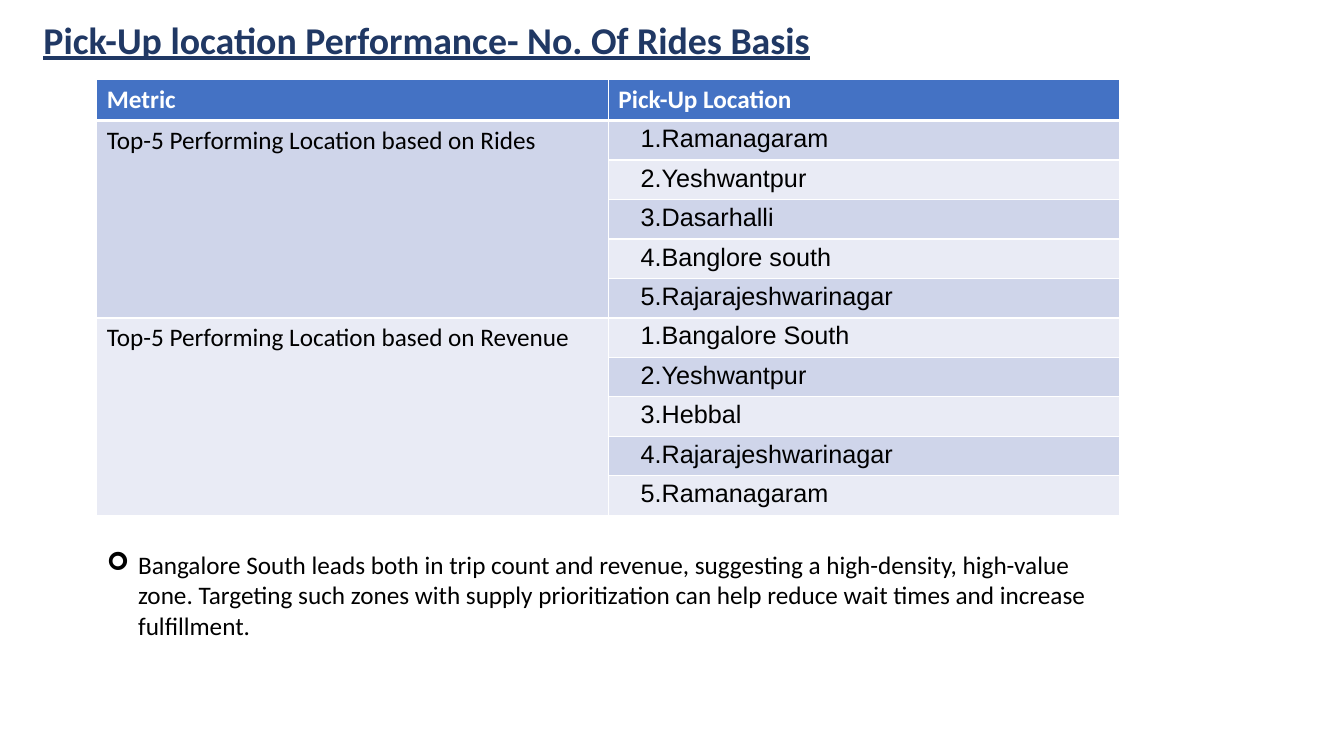
from dataclasses import dataclass

from lxml import etree
from pptx import Presentation
from pptx.dml.color import RGBColor
from pptx.enum.text import MSO_ANCHOR, MSO_AUTO_SIZE, PP_ALIGN
from pptx.oxml.ns import qn
from pptx.util import Inches, Pt

TOP, MIDDLE = MSO_ANCHOR.TOP, MSO_ANCHOR.MIDDLE
LEFT, JUSTIFY = PP_ALIGN.LEFT, PP_ALIGN.JUSTIFY
FIXED = MSO_AUTO_SIZE.NONE

GROUPS = {
    "Top-5 Performing Location based on Rides": [
        "Ramanagaram", "Yeshwantpur", "Dasarhalli", "Banglore south",
        "Rajarajeshwarinagar"],
    "Top-5 Performing Location based on Revenue": [
        "Bangalore South", "Yeshwantpur", "Hebbal", "Rajarajeshwarinagar",
        "Ramanagaram"],
}
INSIGHT = ("Bangalore South leads both in trip count and revenue, suggesting "
           "a high-density, high-value zone. Targeting such zones with supply "
           "prioritization can help reduce wait times and increase fulfillment.")


@dataclass
class Theme:
    navy: str = "203864"
    head: str = "4472C4"
    bands: tuple = ("E9EBF5", "CFD5EA")
    white: str = "FFFFFF"
    black: str = "000000"
    font: str = "Calibri"
    list_font: str = "Arial"
    title: int = 27
    text: int = 18


def apply(target, values):
    for name, value in values.items():
        setattr(target, name, value)


def indent(para, left, first):
    props = para._p.get_or_add_pPr()
    props.set("marL", str(Inches(left)))
    props.set("indent", str(Inches(first)))
    return props


class Deck:
    def __init__(self, theme):
        self.theme = theme
        self.prs = Presentation()
        apply(self.prs, {"slide_width": Inches(13.33),
                         "slide_height": Inches(7.5)})
        self.slide = self.prs.slides.add_slide(self.prs.slide_layouts[1])

    def box(self, x, y, w, h):
        """Turn percentages of the slide into lengths."""
        wide, high = self.prs.slide_width, self.prs.slide_height
        sizes = (x * wide, y * high, w * wide, h * high)
        return [round(size / 100) for size in sizes]

    def place(self, shape, area, anchor):
        apply(shape, dict(zip(("left", "top", "width", "height"),
                              self.box(*area))))
        apply(shape.text_frame, {"auto_size": FIXED, "word_wrap": True,
                                 "vertical_anchor": anchor})
        return shape.text_frame

    def label(self, frame, text, color, font=None, size=None, bold=False,
              line=False, **layout):
        para = frame.paragraphs[0]
        apply(para, {"alignment": LEFT, "space_before": Pt(0), **layout})
        run = para.add_run()
        run.text = text
        apply(run.font, {"name": font or self.theme.font, "bold": bold,
                         "size": Pt(size or self.theme.text),
                         "underline": line})
        run.font.color.rgb = RGBColor.from_string(color)
        return para

    def title(self, text, area):
        frame = self.place(self.slide.shapes.title, area, MIDDLE)
        self.label(frame, text, self.theme.navy, size=self.theme.title,
                   bold=True, line=True, line_spacing=0.9)

    def bullet(self, text, area):
        frame = self.place(self.slide.placeholders[1], area, TOP)
        para = self.label(frame, text, self.theme.black)
        props = indent(para, 0.31, -0.31)
        etree.SubElement(props, qn("a:buFont"), typeface="Wingdings")
        etree.SubElement(props, qn("a:buChar"), char="➢")

    def paint(self, cell, color, base=1):
        """Draw the cell's white borders, then its fill."""
        props = cell._tc.get_or_add_tcPr()
        for side, width in (("L", 1), ("R", 1), ("T", 1), ("B", base)):
            edge = etree.SubElement(props, qn("a:ln" + side), w=str(Pt(width)))
            fill = etree.SubElement(edge, qn("a:solidFill"))
            etree.SubElement(fill, qn("a:srgbClr"), val=self.theme.white)
        cell.fill.solid()
        cell.fill.fore_color.rgb = RGBColor.from_string(color)

    def item(self, cell, text):
        apply(cell, {"margin_left": Inches(0.07), "margin_right": Inches(0.07),
                     "margin_top": 0, "margin_bottom": 0})
        para = self.label(cell.text_frame, text, self.theme.black,
                          font=self.theme.list_font, alignment=JUSTIFY,
                          line_spacing=1.15, space_before=Pt(4))
        indent(para, 0.5, -0.25)

    def table(self, heads, groups, area):
        theme = self.theme
        count = 1 + sum(map(len, groups.values()))
        grid = self.slide.shapes.add_table(
            count, len(heads), *self.box(*area)).table
        for col, head in enumerate(heads):
            cell = grid.cell(0, col)
            self.paint(cell, theme.head, base=3)
            self.label(cell.text_frame, head, theme.white, bold=True)
        row = 1
        for group, names in groups.items():
            first = grid.cell(row, 0)
            first.merge(grid.cell(row + len(names) - 1, 0))
            self.label(first.text_frame, group, theme.black)
            shade = theme.bands[row % 2]
            for rank, name in enumerate(names, 1):
                self.paint(grid.cell(row, 0), shade)
                self.paint(grid.cell(row, 1), theme.bands[row % 2])
                self.item(grid.cell(row, 1), f"{rank}.{name}")
                row += 1


def main():
    deck = Deck(Theme())
    deck.title("Pick-Up location Performance- No. Of Rides Basis",
               (2.48, 2.13, 86.28, 6.8))
    deck.table(("Metric", "Pick-Up Location"), GROUPS,
               (7.2, 10.53, 76.14, 57.47))
    deck.bullet(INSIGHT, (7.2, 72, 76.14, 13.47))
    deck.prs.save("out.pptx")


if __name__ == "__main__":
    main()
